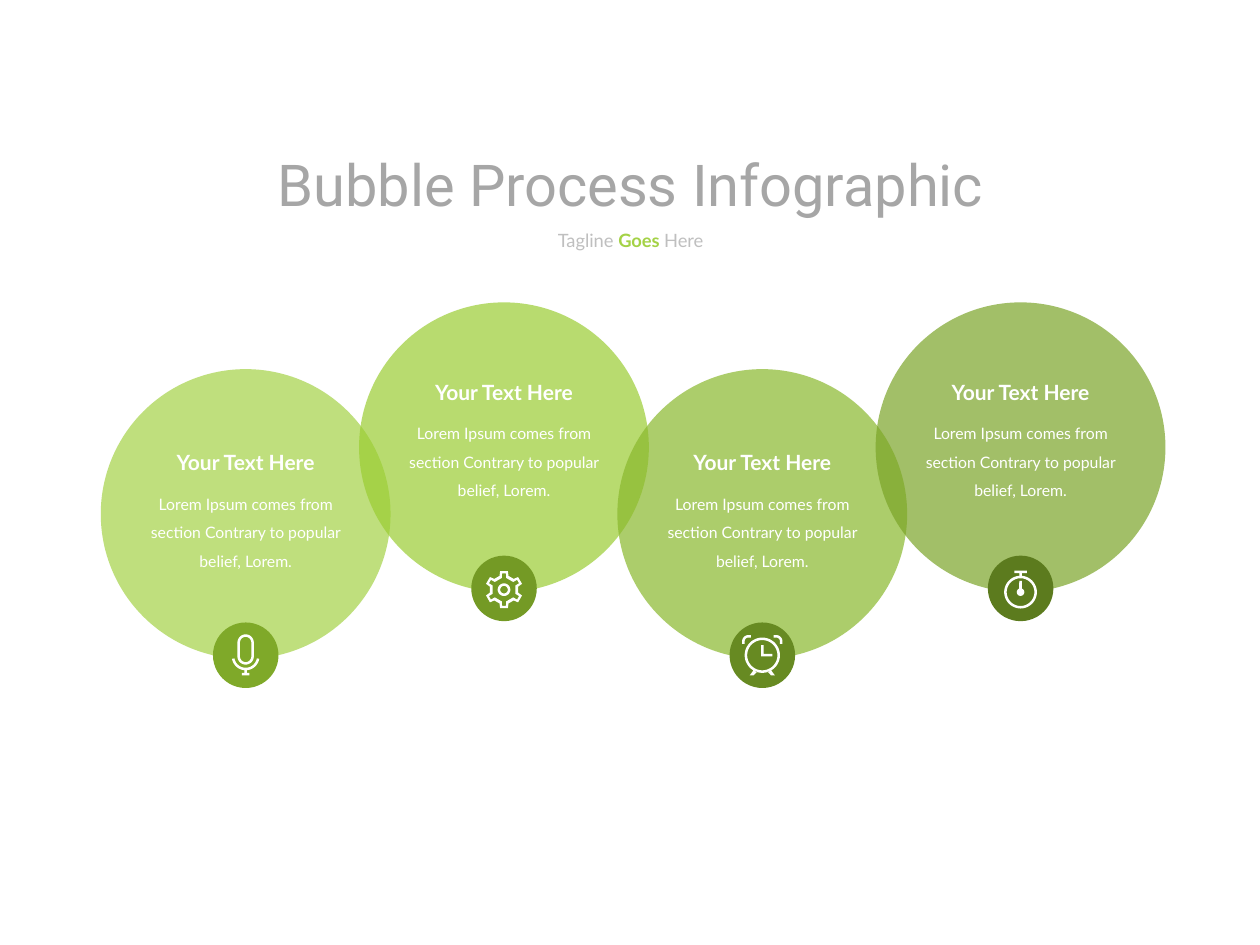
from math import cos, radians, sin

from lxml.etree import SubElement
from pptx import Presentation
from pptx.dml.color import RGBColor
from pptx.enum.shapes import MSO_SHAPE
from pptx.enum.text import MSO_AUTO_SIZE, PP_ALIGN
from pptx.oxml.ns import qn
from pptx.util import Inches, Pt

WHITE = RGBColor(0xFF, 0xFF, 0xFF)
TITLE_GREY = RGBColor(0xA6, 0xA6, 0xA6)
TAGLINE_GREY = RGBColor(0xBF, 0xBF, 0xBF)
LIME = RGBColor(0xA4, 0xD2, 0x46)
BUBBLE_COLORS = [LIME, RGBColor(0x9A, 0xCD, 0x32), RGBColor(0x8A, 0xB8, 0x2D), RGBColor(0x7B, 0xA4, 0x28)]
BADGE_COLORS = [RGBColor(0x7F, 0xA9, 0x29), RGBColor(0x74, 0x9A, 0x25),
                RGBColor(0x67, 0x8A, 0x22), RGBColor(0x5C, 0x7B, 0x1E)]

DIAMETER, BADGE = 2.3, 0.52
FIRST_LEFT, PITCH = 0.8, 2.05
# (bubble top, heading top) for the lower and the raised bubbles
LEVELS = [(2.93, 3.52), (2.4, 2.96)]
BODY = "Lorem Ipsum comes from section Contrary to popular belief, Lorem."


# Icon outlines: lists of points in inches around the badge centre
def arc(cx, cy, radius, start, end, steps=24):
    angles = [radians(start + (end - start) * i / steps) for i in range(steps + 1)]
    return [(cx + radius * cos(a), cy + radius * sin(a)) for a in angles]


def ring(cy, outer, inner):
    return [arc(0, cy, radius, 0, 360, 48) for radius in (outer, inner)]


def box(left, top, right, bottom):
    return [(left, top), (right, top), (right, bottom), (left, bottom)]


def mirrored(outline):
    return [outline, [(-x, y) for x, y in outline]]


def microphone():
    capsules = [arc(0, -0.1, r, 180, 360) + arc(0, 0.01, r, 0, 180) for r in (0.065, 0.045)]
    cradle = arc(0, 0.01, 0.11, 10, 170) + arc(0, 0.01, 0.09, 170, 10)
    return capsules + [cradle, box(-0.01, 0.12, 0.01, 0.14), box(-0.03, 0.14, 0.03, 0.16)]


def gear():
    def toothed(tooth):
        return [(r * cos(radians(turn + a)), 0.01 + r * sin(radians(turn + a)))
                for turn in range(-90, 270, 60) for a, r in tooth]

    outer = toothed([(-18, 0.115), (-12, 0.15), (12, 0.15), (18, 0.115)])
    inner = toothed([(-10, 0.095), (-7, 0.13), (7, 0.13), (10, 0.095)])
    return [outer, inner] + ring(0.01, 0.05, 0.03)


def alarm_clock():
    hands = [(-0.01, -0.08), (0.01, -0.08), (0.01, -0.01), (0.08, -0.01), (0.08, 0.01), (-0.01, 0.01)]
    bell = ([(-0.16, -0.09)] + arc(-0.11, -0.11, 0.05, 180, 270) + [(-0.09, -0.16), (-0.09, -0.14)]
            + arc(-0.11, -0.11, 0.03, 270, 180) + [(-0.14, -0.09)])
    leg = [(-0.07, 0.12), (-0.1, 0.16), (-0.07, 0.16), (-0.04, 0.13)]
    return ring(0, 0.14, 0.12) + [hands] + mirrored(bell) + mirrored(leg)


def stopwatch():
    hand = [(-0.01, -0.06), (0.01, -0.06)] + arc(0, 0.03, 0.03, -70, 250)
    button = [box(-0.05, -0.14, 0.05, -0.12), box(-0.01, -0.12, 0.01, -0.1)]
    return ring(0.03, 0.13, 0.11) + button + [hand]


ICONS = [microphone, gear, alarm_clock, stopwatch]


def paint(shape, color):
    shape.shadow.inherit = False
    shape.fill.solid()
    shape.fill.fore_color.rgb = color
    shape.line.fill.background()


def add_circle(shapes, left, top, size, color, opacity=None):
    circle = shapes.add_shape(MSO_SHAPE.OVAL, Inches(left), Inches(top), Inches(size), Inches(size))
    paint(circle, color)
    if opacity:
        tint = circle.fill._xPr.find(".//" + qn("a:srgbClr"))
        SubElement(tint, qn("a:alpha")).set("val", str(opacity * 1000))


def add_icon(slide, cx, cy, outlines):
    placed = [[(Inches(cx + x), Inches(cy + y)) for x, y in outline] for outline in outlines]
    builder = slide.shapes.build_freeform(*placed[0][0])
    for number, points in enumerate(placed):
        if number:
            builder.move_to(*points[0])
        builder.add_line_segments(points[1:], close=True)
    paint(builder.convert_to_shape(), WHITE)


def add_text(slide, box, runs, wrap=False, spacing=None):
    label = slide.shapes.add_textbox(*map(Inches, box))
    frame = label.text_frame
    frame.word_wrap = wrap
    frame.auto_size = MSO_AUTO_SIZE.SHAPE_TO_FIT_TEXT
    paragraph = frame.paragraphs[0]
    paragraph.alignment = PP_ALIGN.CENTER
    if spacing:
        paragraph.line_spacing = spacing
    for wording, color, style in runs:
        run = paragraph.add_run()
        run.text = wording
        run.font.color.rgb = color
        for attribute, value in style.items():
            setattr(run.font, attribute, value)


def add_header(slide, left, top, width):
    title = {"name": "Roboto", "size": Pt(33)}
    tagline = {"name": "Lato", "size": Pt(10.5)}
    add_text(slide, (left, top, width, 0.66), [("Bubble Process Infographic", TITLE_GREY, title)])
    add_text(slide, (left, top + 0.64, width, 0.28), [
        ("Tagline ", TAGLINE_GREY, tagline),
        ("Goes ", LIME, {**tagline, "bold": True}),
        ("Here", TAGLINE_GREY, tagline),
    ])


def add_bubble(slide, left, top, color, badge_color):
    group = slide.shapes.add_group_shape()
    add_circle(group.shapes, left, top, DIAMETER, color, opacity=70)
    add_circle(group.shapes, left + (DIAMETER - BADGE) / 2, top + 2.01, BADGE, badge_color)


def add_bubble_content(slide, left, top, heading_top, icon):
    center = left + DIAMETER / 2
    add_icon(slide, center, top + 2.01 + BADGE / 2, icon())
    add_text(slide, (center - 0.68, heading_top, 1.36, 0.3),
             [("Your Text Here", WHITE, {"name": "Lato", "size": Pt(12), "bold": True})])
    add_text(slide, (center - 0.87, heading_top + 0.28, 1.74, 0.78),
             [(BODY, WHITE, {"name": "Lato", "size": Pt(9)})], wrap=True, spacing=1.5)


def main():
    deck = Presentation()
    deck.slide_width, deck.slide_height = Inches(10), Inches(7.5)
    slide = deck.slides.add_slide(deck.slide_layouts[6])

    add_header(slide, 2.04, 1.13, 5.93)

    # All bubbles go behind all icons and texts
    places = [(FIRST_LEFT + i * PITCH, *LEVELS[i % 2]) for i in range(len(ICONS))]
    for (left, top, _), color, badge_color in zip(places, BUBBLE_COLORS, BADGE_COLORS):
        add_bubble(slide, left, top, color, badge_color)
    for place, icon in zip(places, ICONS):
        add_bubble_content(slide, *place, icon)

    deck.save("out.pptx")


if __name__ == "__main__":
    main()
